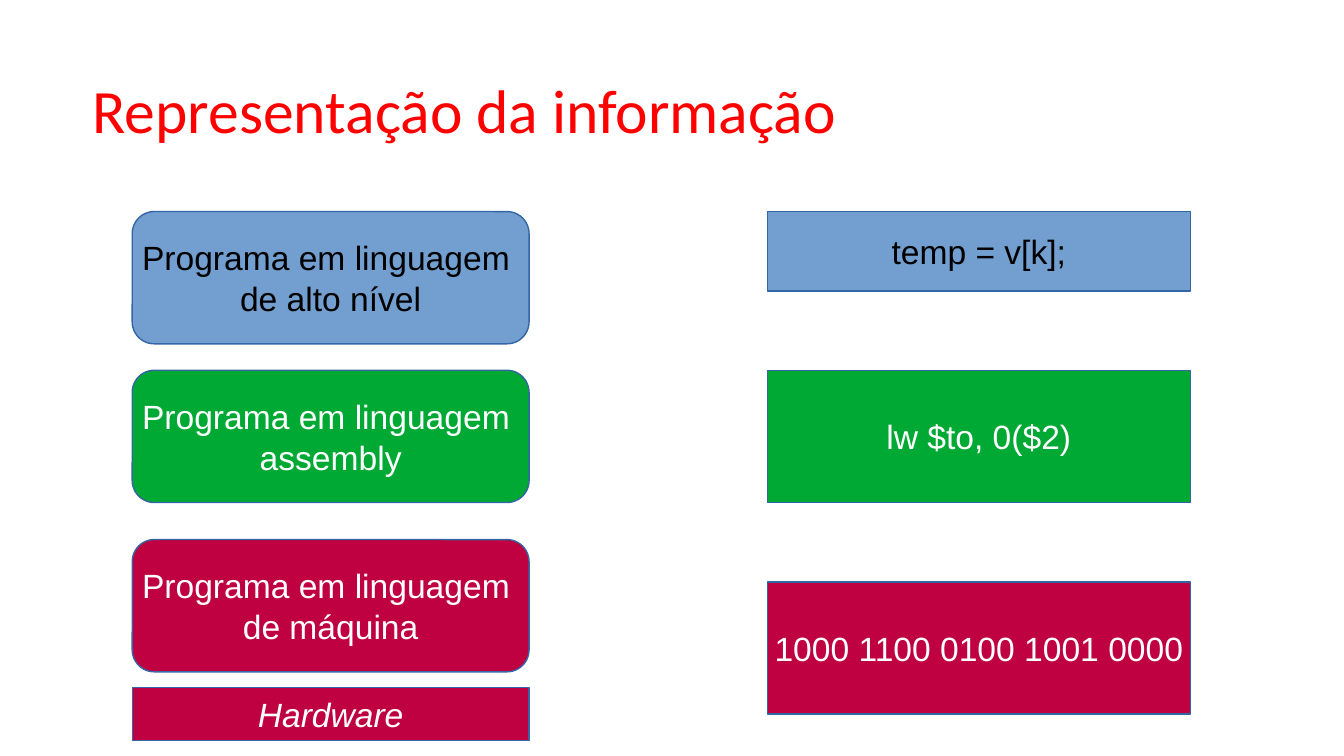
from pptx import Presentation
from pptx.dml.color import RGBColor
from pptx.enum import shapes, text
from pptx.util import Cm, Pt

THEME = {
    "title": RGBColor(0xFF, 0x00, 0x00),
    "outline": RGBColor(0x34, 0x65, 0xA4),
    "dark": RGBColor(0x00, 0x00, 0x00),
    "light": RGBColor(0xFF, 0xFF, 0xFF),
    "high_level": RGBColor(0x72, 0x9F, 0xCF),
    "assembly": RGBColor(0x00, 0xA9, 0x33),
    "machine": RGBColor(0xBF, 0x00, 0x41),
    "title_size": Pt(33),
    "body_size": Pt(18),
}


def apply(target, values):
    for name, value in values.items():
        setattr(target, name, value)


deck = Presentation()
apply(deck, {"slide_width": Cm(25.4), "slide_height": Cm(14.29)})
slide = deck.slides.add_slide(deck.slide_layouts[5])

# Title
heading = slide.shapes.title
apply(heading, {"left": Cm(1.75), "top": Cm(0.76),
                "width": Cm(21.9), "height": Cm(2.77)})
heading.text_frame.text = "Representação da informação"
apply(heading.text_frame, {
    "margin_left": 0, "margin_right": 0, "margin_top": 0, "margin_bottom": 0,
    "vertical_anchor": text.MSO_ANCHOR.MIDDLE, "word_wrap": True,
    "auto_size": text.MSO_AUTO_SIZE.NONE})
heading_line = heading.text_frame.paragraphs[0]
apply(heading_line, {"alignment": text.PP_ALIGN.LEFT, "line_spacing": 0.9})
apply(heading_line.font, {"name": "Calibri", "size": THEME["title_size"]})
heading_line.font.color.rgb = THEME["title"]

# Language levels on the left, an example of each on the right
ROUNDED = shapes.MSO_SHAPE.ROUNDED_RECTANGLE
SQUARE = shapes.MSO_SHAPE.RECTANGLE
LEVELS = (Cm(2.5), Cm(7.5))
EXAMPLES = (Cm(14.5), Cm(8))

boxes = [
    # column, top, height, outline shape, fill, ink, italic, wording
    (LEVELS, 4, 2.5, ROUNDED, "high_level", "dark", False,
     "Programa em linguagem \nde alto nível"),
    (LEVELS, 7, 2.5, ROUNDED, "assembly", "light", False,
     "Programa em linguagem \nassembly"),
    (LEVELS, 10.2, 2.5, ROUNDED, "machine", "light", False,
     "Programa em linguagem \nde máquina"),
    (LEVELS, 13, 1, SQUARE, "machine", "light", True, "Hardware"),
    (EXAMPLES, 4, 1.5, SQUARE, "high_level", "dark", False, "temp = v[k];"),
    (EXAMPLES, 7, 2.5, SQUARE, "assembly", "light", False, "lw $to, 0($2)"),
    (EXAMPLES, 11, 2.5, SQUARE, "machine", "light", False,
     "1000 1100 0100 1001 0000"),
]

for (left, width), top, height, preset, fill, ink, italic, wording in boxes:
    box = slide.shapes.add_shape(preset, left, Cm(top), width, Cm(height))
    box.shadow.inherit = False
    box.fill.solid()
    box.fill.fore_color.rgb = THEME[fill]
    box.line.color.rgb = THEME["outline"]
    box.line.width = 0
    box.text_frame.text = wording
    apply(box.text_frame, {"word_wrap": False,
                           "vertical_anchor": text.MSO_ANCHOR.MIDDLE})
    for line in box.text_frame.paragraphs:
        line.alignment = text.PP_ALIGN.CENTER
        apply(line.font, {"name": "Arial", "size": THEME["body_size"],
                          "italic": italic})
        line.font.color.rgb = THEME[ink]

deck.save("out.pptx")
